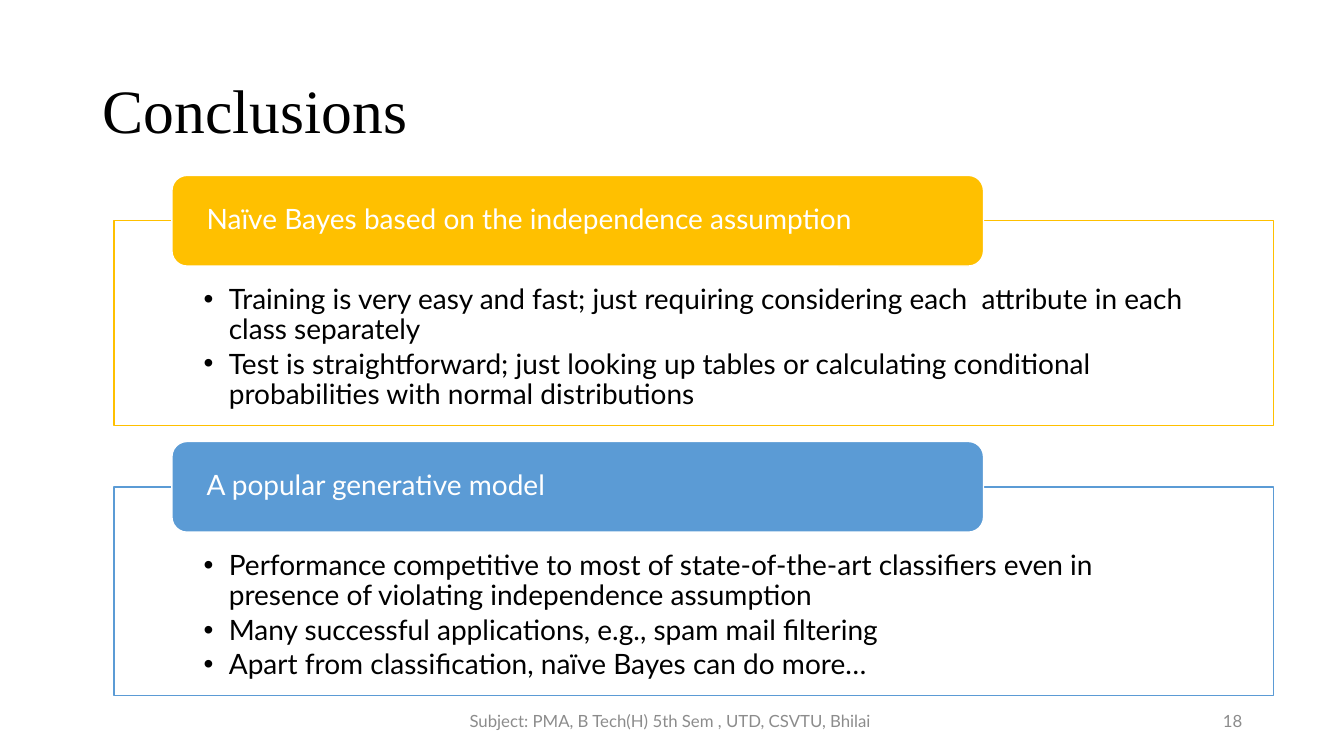
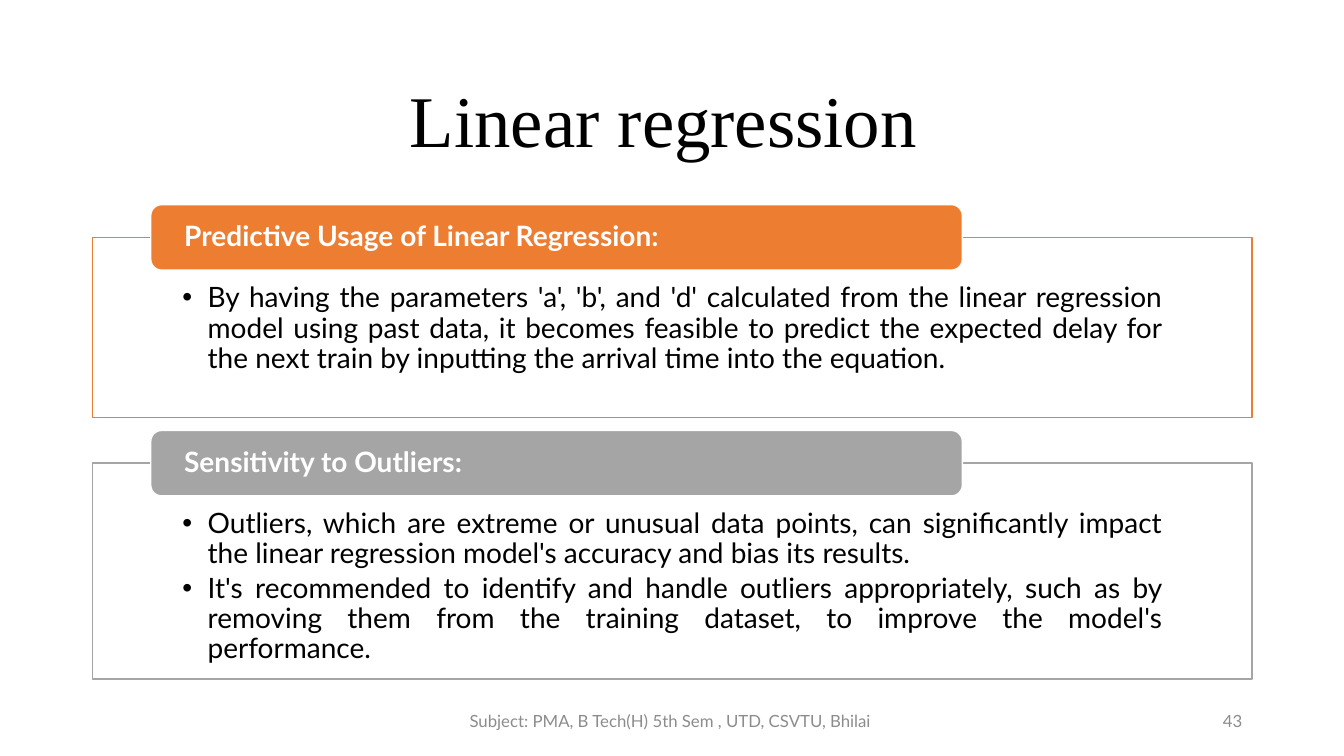
from lxml import etree
from pptx import Presentation
from pptx.dml.color import RGBColor
from pptx.enum import shapes, text
from pptx.oxml.ns import qn
from pptx.util import Inches, Pt

HUES = {"gold": "FFC000", "blue": "5B9BD5", "rust": "ED7D31", "gray": "A5A5A5",
        "white": "FFFFFF", "black": "000000", "foot": "8C8C8C"}
FONT = "Lato"
SERIF = "Times New Roman"
LEFT, CENTER, RIGHT, JUST = (text.PP_ALIGN.LEFT, text.PP_ALIGN.CENTER,
                             text.PP_ALIGN.RIGHT, text.PP_ALIGN.JUSTIFY)
WIDE = 11.5
EDGE = 0.92
FOOT = "Subject: PMA, B Tech(H) 5th Sem , UTD, CSVTU, Bhilai "

DECK = [
    {"title": "Conclusions", "top": 0.4, "tall": 1.45, "size": 44,
     "align": LEFT, "just": LEFT, "bold": False, "page": "18",
     "left": 1.13, "tab": 0.9, "pad": 0.64,
     "panels": [
         ("gold", 1.74, 2.03, "Naïve Bayes based on the independence assumption", [
             "Training is very easy and fast; just requiring considering each  attribute in each class separately",
             "Test is straightforward; just looking up tables or calculating conditional probabilities with normal distributions"]),
         ("blue", 4.38, 2.07, "A popular generative model", [
             "Performance competitive to most of state-of-the-art classifiers even in presence of violating independence assumption",
             "Many successful applications, e.g., spam mail filtering",
             "Apart from classification, naïve Bayes can do more…"])]},
    {"title": "Linear regression ", "top": 0.61, "tall": 1.24, "size": 52,
     "align": CENTER, "just": JUST, "bold": True, "page": "43",
     "left": EDGE, "tab": 0.65, "pad": 0.46,
     "panels": [
         ("rust", 2.03, 1.79, "Predictive Usage of Linear Regression:", [
             "By having the parameters 'a', 'b', and 'd' calculated from the linear regression model using past data, it becomes feasible to predict the expected delay for the next train by inputting the arrival time into the equation."]),
         ("gray", 4.27, 2.14, "Sensitivity to Outliers:", [
             "Outliers, which are extreme or unusual data points, can significantly impact the linear regression model's accuracy and bias its results.",
             "It's recommended to identify and handle outliers appropriately, such as by removing them from the training dataset, to improve the model's performance."])]},
]


def write(shape, lines, size, hue, align, font=FONT, bold=False, pads=(0.1, 0.05, 0.1, 0.05),
          bullet=False, space=0.9):
    frame = shape.text_frame
    frame.word_wrap = True
    frame.vertical_anchor = text.MSO_ANCHOR.TOP if bullet else text.MSO_ANCHOR.MIDDLE
    (frame.margin_left, frame.margin_top,
     frame.margin_right, frame.margin_bottom) = [Inches(pad) for pad in pads]
    for i, line in enumerate(lines):
        para = frame.paragraphs[0] if i == 0 else frame.add_paragraph()
        if bullet:
            props = para._p.get_or_add_pPr()
            props.set("marL", str(Inches(0.25)))
            props.set("indent", str(Inches(-0.25)))
            etree.SubElement(props, qn("a:buFont")).set("typeface", "Arial")
            etree.SubElement(props, qn("a:buChar")).set("char", "•")
            para.space_after = Pt(3)
        para.alignment = align
        para.line_spacing = space
        run = para.add_run()
        run.text = line
        run.font.size = Pt(size)
        run.font.name = font
        run.font.bold = bold
        run.font.color.rgb = RGBColor.from_string(HUES[hue])


def block(slide, kind, box, fill, line):
    shape = slide.shapes.add_shape(kind, *[Inches(n) for n in box])
    shape.shadow.inherit = False
    shape.fill.solid()
    shape.fill.fore_color.rgb = RGBColor.from_string(HUES[fill])
    shape.line.color.rgb = RGBColor.from_string(HUES[line])
    shape.line.width = Pt(1)
    return shape


deck = Presentation()
deck.slide_width = Inches(13.33)
deck.slide_height = Inches(7.5)

for page in DECK:
    slide = deck.slides.add_slide(deck.slide_layouts[6])
    title = slide.shapes.add_textbox(Inches(EDGE), Inches(page["top"]),
                                     Inches(WIDE), Inches(page["tall"]))
    write(title, [page["title"]], page["size"], "black", page["align"], font=SERIF)

    left, tab = page["left"], page["tab"]
    for hue, top, tall, head, points in page["panels"]:
        body = block(slide, shapes.MSO_SHAPE.RECTANGLE,
                     (left, top + tab / 2, WIDE, tall), "white", hue)
        tint = body.fill._xPr.find(qn("a:solidFill"))[0]
        etree.SubElement(tint, qn("a:alpha")).set("val", "90000")
        write(body, points, 20, "black", page["just"],
              pads=(0.89, page["pad"], 0.89, 0.16), bullet=True)
        band = block(slide, shapes.MSO_SHAPE.ROUNDED_RECTANGLE,
                     (left + WIDE * 0.05, top, WIDE * 0.7, tab), hue, "white")
        write(band, [head], 20, "white", page["just"], bold=page["bold"],
              pads=(0.3, 0, 0.3, 0))

    for words, x, wide, align in ((FOOT, 4.42, 4.5, CENTER), (page["page"], 9.42, 3, RIGHT)):
        foot = slide.shapes.add_textbox(Inches(x), Inches(6.95), Inches(wide), Inches(0.4))
        write(foot, [words], 12, "foot", align, space=1.0)

deck.save("out.pptx")
